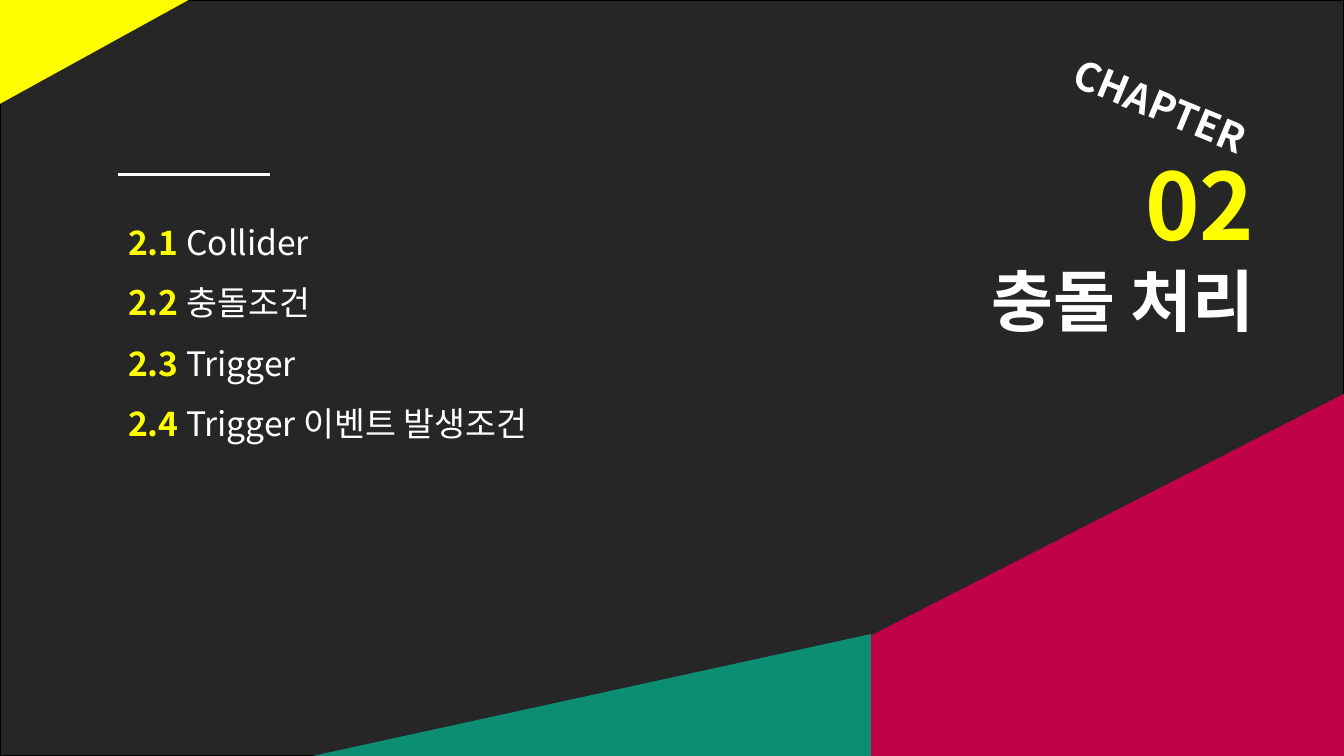
from lxml.etree import SubElement
from pptx import Presentation
from pptx.dml.color import RGBColor
from pptx.enum.shapes import MSO_CONNECTOR, MSO_SHAPE
from pptx.enum.text import MSO_ANCHOR, MSO_AUTO_SIZE, PP_ALIGN
from pptx.oxml.ns import qn
from pptx.util import Inches, Pt

FACE = "Noto Sans CJK KR"
DARK, WHITE, YELLOW = "262626", "FFFFFF", "FFFF00"
RED, GREEN, BLACK = "C20247", "0C8E75", "000000"
TOPICS = [
    ("2.1 ", "Collider"),
    ("2.2 ", "충돌조건"),
    ("2.3 ", "Trigger"),
    ("2.4 ", "Trigger 이벤트 발생조건"),
]
WEDGES = [
    ([(0, 13.73), (14.03, 0), (0, 0)], YELLOW),
    ([(64.58, 84.27), (100, 52.1), (100, 100), (64.05, 100)], RED),
    ([(23.25, 100), (64.8, 83.87), (64.8, 100)], GREEN),
]


def paint(fmt, color):
    """Give a fill or line format a solid hex colour."""
    fmt.solid()
    fmt.fore_color.rgb = RGBColor.from_string(color)


def spot(box, x, y):
    """Turn percentages of a box into a point on the slide."""
    left, top, wide, high = box
    return round(left + wide * x / 100), round(top + high * y / 100)


def area(box, x, y, wide, high):
    """Turn percentages of a box into a smaller box."""
    return *spot(box, x, y), *spot((0, 0, *box[2:]), wide, high)


def place(shape, box):
    """Move a shape to a box."""
    shape.left, shape.top, shape.width, shape.height = box


def setup(shape):
    """Make a text shape wrap, start at the top and grow."""
    frame = shape.text_frame
    frame.word_wrap = True
    frame.vertical_anchor = MSO_ANCHOR.TOP
    frame.auto_size = MSO_AUTO_SIZE.SHAPE_TO_FIT_TEXT
    return frame


def write(para, text, size, color, bold=True):
    """Add a formatted run to a paragraph."""
    run = para.add_run()
    run.text = text
    font = run.font
    font.size, font.bold, font.name = Pt(size), bold, FACE
    paint(font.fill, color)
    SubElement(run._r.get_or_add_rPr(), qn("a:ea"), typeface=FACE)


def ground(slide, box):
    """Lay the dark panel behind everything."""
    panel = slide.shapes.add_shape(MSO_SHAPE.RECTANGLE, *box)
    panel.shadow.inherit = False
    paint(panel.fill, DARK)
    paint(panel.line.fill, BLACK)
    panel.line.width = Pt(1)
    slide.shapes._spTree.insert(2, panel._element)


def header(slide, box):
    """Set the chapter number, its name and the tilted label."""
    title = slide.shapes.title
    place(title, area(box, 44.03, 18.93, 50.03, 26.93))
    frame = setup(title)
    lines = [("02", 66, YELLOW), ("충돌 처리", 48, WHITE)]
    for num, (text, size, color) in enumerate(lines):
        para = frame.add_paragraph() if num else frame.paragraphs[0]
        para.alignment = PP_ALIGN.RIGHT
        write(para, text, size, color)
    label = slide.shapes.add_textbox(*area(box, 76.13, 9.2, 17.78, 7.6))
    label.rotation = 22.6
    para = setup(label).paragraphs[0]
    para.alignment = PP_ALIGN.RIGHT
    write(para, "CHAPTER", 28, WHITE)


def agenda(slide, box):
    """List the topics under a short rule."""
    body = slide.placeholders[1]
    place(body, area(box, 8.78, 26, 50.03, 32.53))
    frame = setup(body)
    for num, (mark, text) in enumerate(TOPICS):
        para = frame.add_paragraph() if num else frame.paragraphs[0]
        para.line_spacing = 1.5
        para.space_before = Pt(0)
        props = para._p.get_or_add_pPr()
        props.set("marL", "0")
        props.set("indent", "0")
        SubElement(props, qn("a:buNone"))
        write(para, mark, 24, YELLOW)
        write(para, text, 24, WHITE, bold=False)
    rule = slide.shapes.add_connector(
        MSO_CONNECTOR.STRAIGHT, *spot(box, 8.78, 23.07), *spot(box, 20.1, 23.07))
    paint(rule.line.fill, WHITE)
    rule.line.width = Pt(2.25)
    SubElement(rule._element.spPr, qn("a:effectLst"))


def corners(slide, box):
    """Draw the coloured wedges at the slide's corners."""
    for points, color in WEDGES:
        first, *rest = [spot(box, x, y) for x, y in points]
        pen = slide.shapes.build_freeform(*first)
        pen.add_line_segments(rest, close=True)
        wedge = pen.convert_to_shape()
        wedge.shadow.inherit = False
        paint(wedge.fill, color)
        wedge.line.fill.background()


def main():
    """Build and save the chapter slide."""
    deck = Presentation()
    deck.slide_width, deck.slide_height = Inches(13.33), Inches(7.5)
    slide = deck.slides.add_slide(deck.slide_layouts[1])
    box = (0, 0, deck.slide_width, deck.slide_height)
    for part in (ground, header, agenda, corners):
        part(slide, box)
    deck.save("out.pptx")


if __name__ == "__main__":
    main()
